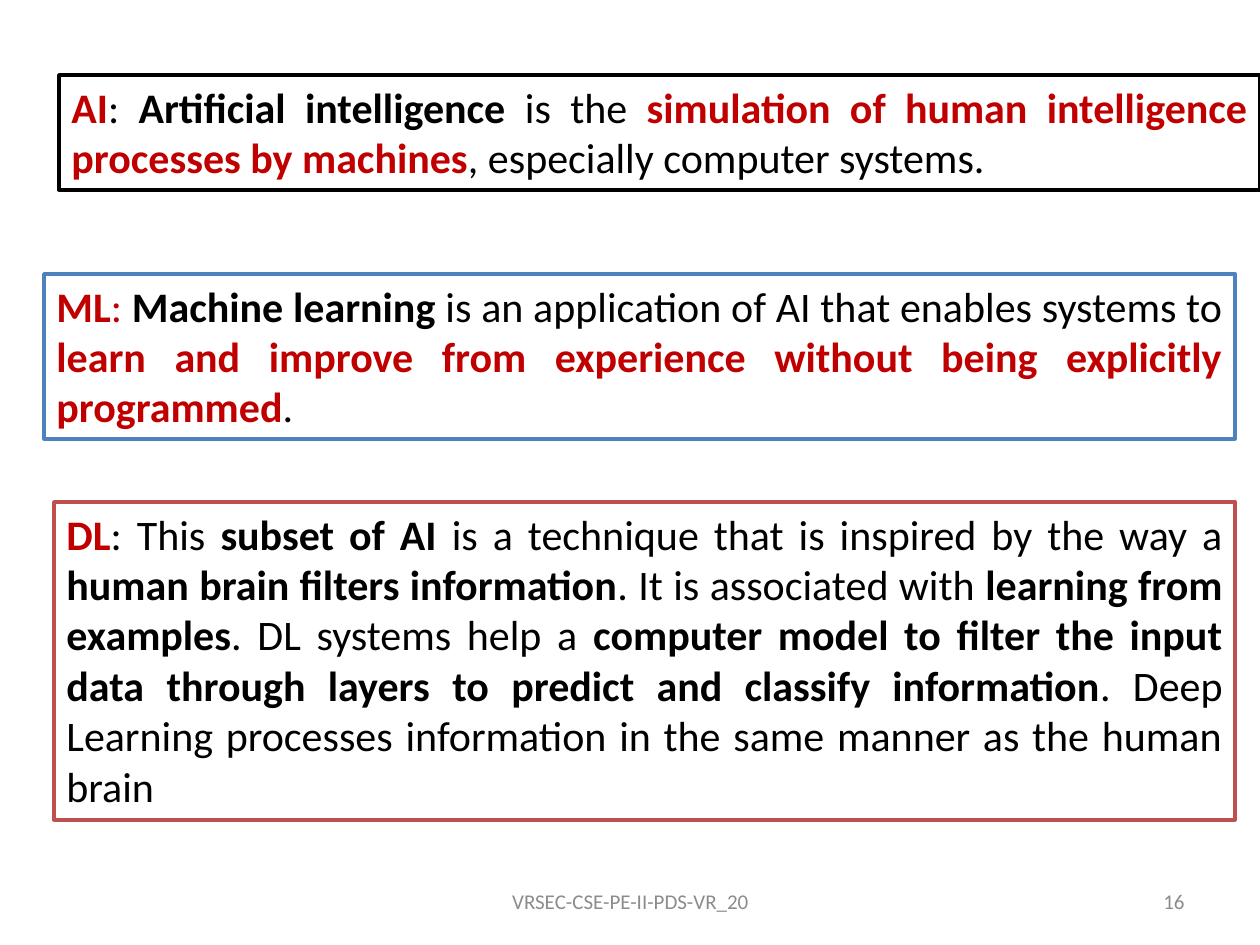
from pptx import Presentation
from pptx.dml.color import RGBColor
from pptx.enum.shapes import MSO_SHAPE as Shape
from pptx.enum.text import MSO_ANCHOR as Anchor, MSO_AUTO_SIZE as AutoSize, PP_ALIGN as Align
from pptx.util import Emu, Pt

PX = 914400 / 126
COLORS = {
    "white": "FFFFFF",
    "black": "000000",
    "red": "C00000",
    "blue": "4F81BD",
    "brick": "C0504D",
    "gray": "8C8C8C",
}


def px(*lengths):
    return [Emu(round(length * PX)) for length in lengths]


def rgb(color):
    return RGBColor.from_string(COLORS[color])


def write(paragraph, text, size=24, color="black", bold=False, font="Calibri"):
    run = paragraph.add_run()
    run.text = text
    run.font.name = font
    run.font.size = Pt(size)
    run.font.bold = bold
    run.font.color.rgb = rgb(color)


class SlideBuilder:
    styles = {
        "plain": {},
        "bold": {"bold": True},
        "key": {"color": "red", "bold": True},
        "red": {"color": "red"},
    }

    def __init__(self, slide):
        self.slide = slide

    def definition(self, bounds, border, phrases):
        box = self.slide.shapes.add_shape(Shape.RECTANGLE, *px(*bounds))
        box.shadow.inherit = False
        box.fill.solid()
        box.fill.fore_color.rgb = rgb("white")
        box.line.color.rgb = rgb(border)
        box.line.width = Pt(2)
        frame = box.text_frame
        frame.word_wrap = True
        frame.auto_size = AutoSize.SHAPE_TO_FIT_TEXT
        frame.vertical_anchor = Anchor.TOP
        paragraph = frame.paragraphs[0]
        paragraph.alignment = Align.JUSTIFY
        for style, text in phrases:
            write(paragraph, text, **self.styles[style])

    def footer(self, bounds, text, align):
        frame = self.slide.shapes.add_textbox(*px(*bounds)).text_frame
        frame.word_wrap = True
        frame.vertical_anchor = Anchor.MIDDLE
        paragraph = frame.paragraphs[0]
        paragraph.alignment = align
        write(paragraph, text, size=12, color="gray")


DEFINITIONS = [
    ((59, 75, 1201, 115), "black", [
        ("key", "AI"),
        ("plain", ": "),
        ("bold", "Artificial intelligence "),
        ("plain", "is the "),
        ("key", "simulation of human intelligence processes by machines"),
        ("plain", ", especially computer systems. "),
    ]),
    ((44, 274, 1191, 165), "blue", [
        ("key", "ML"),
        ("red", ": "),
        ("bold", "Machine learning "),
        ("plain", "is an application of AI that enables systems to "),
        ("key", "learn and improve from experience without being explicitly programmed"),
        ("plain", ". "),
    ]),
    ((54, 502, 1181, 318), "brick", [
        ("key", "DL"),
        ("plain", ": This "),
        ("bold", "subset of AI "),
        ("plain", "is a technique that is inspired by the way a "),
        ("bold", "human brain filters information"),
        ("plain", ". It is associated with "),
        ("bold", "learning from examples"),
        ("plain", ". DL systems help a "),
        ("bold", "computer model to filter the input data through layers "
                 "to predict and classify information"),
        ("plain", ". Deep Learning processes information in the same manner "
                  "as the human brain"),
    ]),
]


def main():
    deck = Presentation()
    deck.slide_width, deck.slide_height = px(1260, 945)
    builder = SlideBuilder(deck.slides.add_slide(deck.slide_layouts[6]))
    builder.footer((431, 876, 399, 50), "VRSEC-CSE-PE-II-PDS-VR_20", Align.CENTER)
    builder.footer((903, 876, 294, 50), "16", Align.RIGHT)
    for bounds, border, phrases in DEFINITIONS:
        builder.definition(bounds, border, phrases)
    deck.save("out.pptx")


if __name__ == "__main__":
    main()
